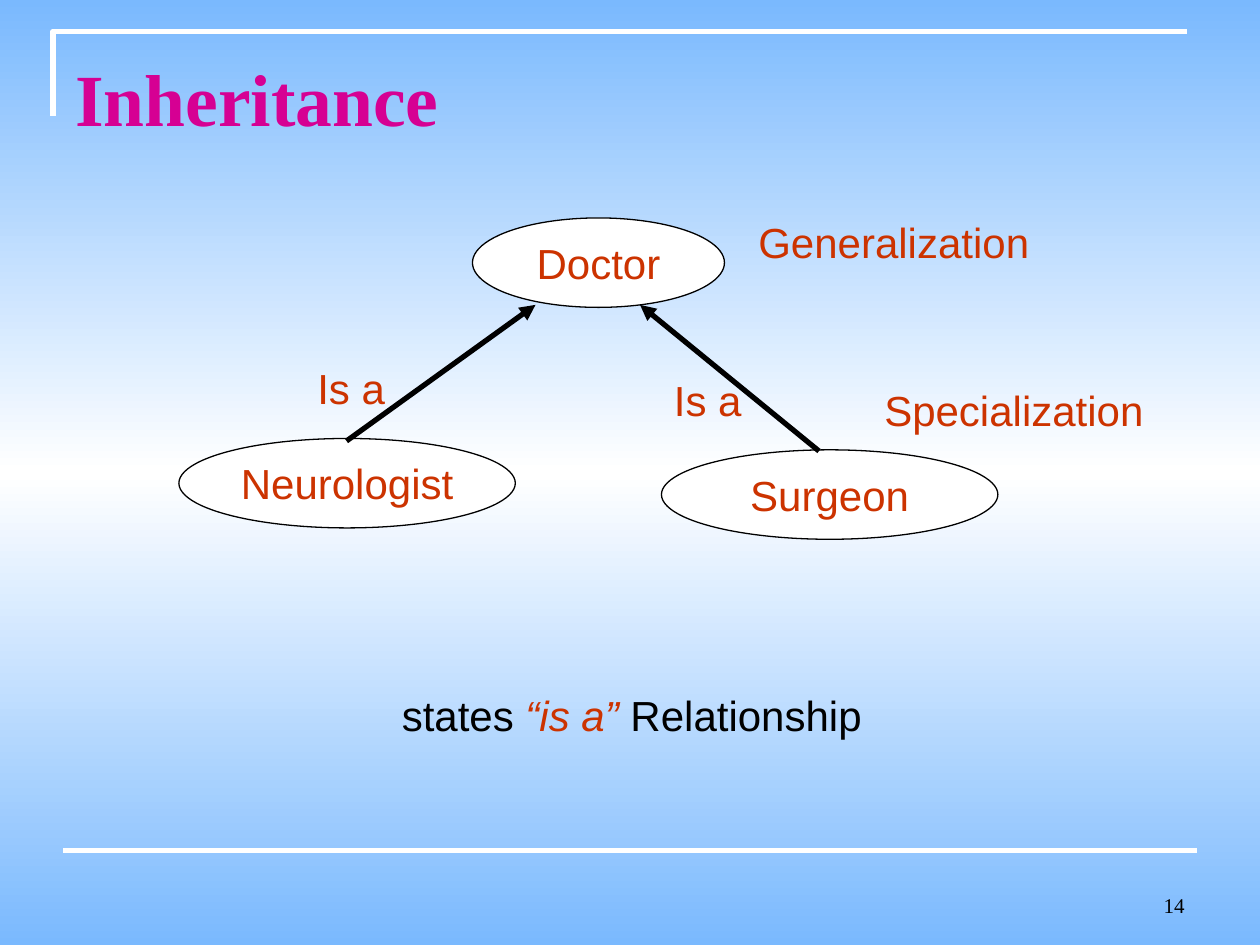
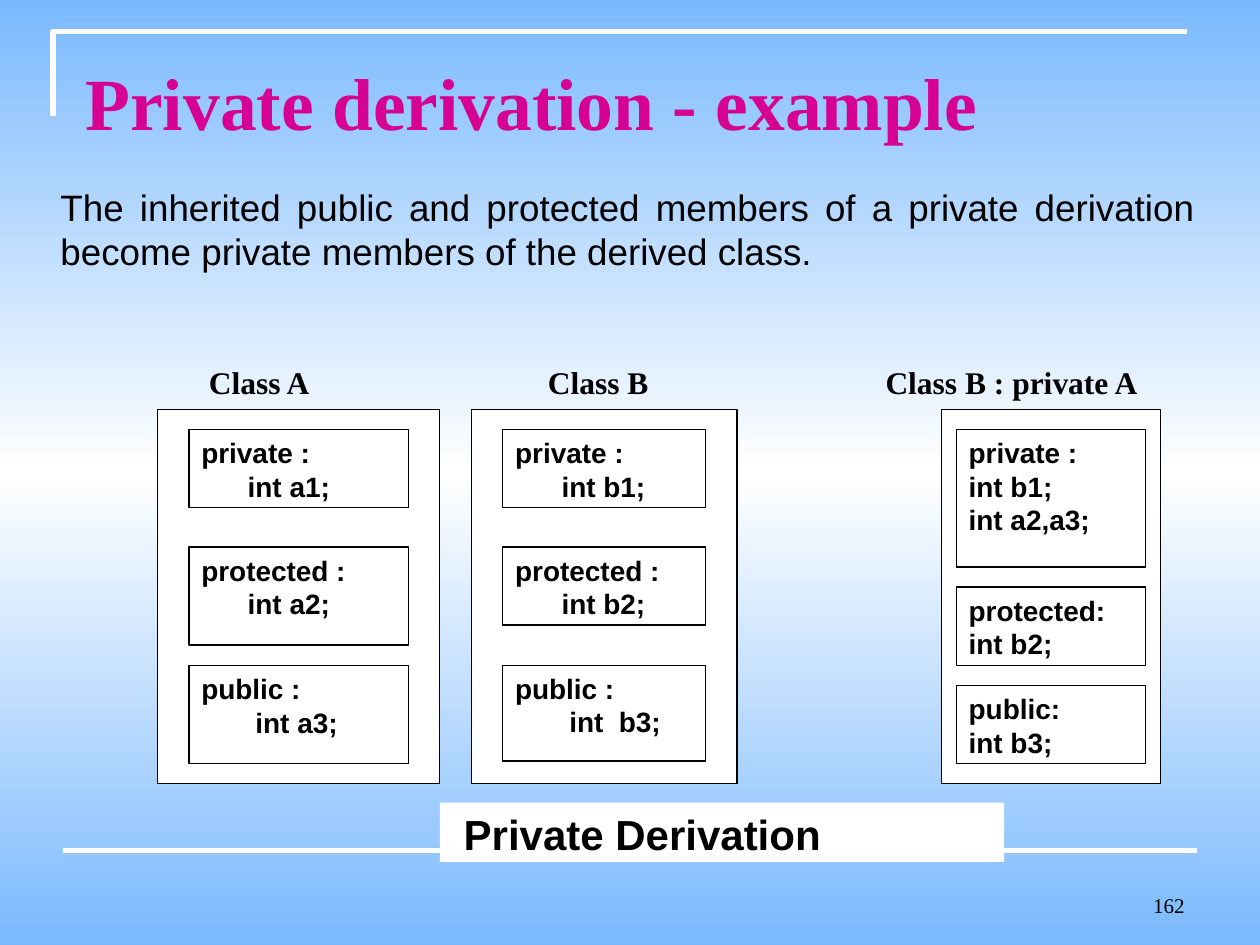
from copy import deepcopy
from dataclasses import dataclass

from pptx import Presentation
from pptx.dml.color import RGBColor
from pptx.enum.shapes import MSO_CONNECTOR, MSO_SHAPE
from pptx.enum.text import MSO_ANCHOR as Anchor, PP_ALIGN as Align
from pptx.oxml.ns import qn
from pptx.util import Inches, Pt
from lxml.etree import SubElement


@dataclass(frozen=True)
class Theme:
    sky: str = "7AB9FE"
    white: str = "FFFFFF"
    black: str = "000000"
    title: str = "D60093"
    accent: str = "CC3300"
    sans: str = "Arial"
    serif: str = "Times New Roman"
    title_size: int = 42
    label_size: int = 24
    body_size: int = 21
    heading_size: int = 18
    code_size: int = 16
    number_size: int = 12
    thin: float = 0.75
    thick: float = 3


THEME = Theme()


def rgb(value):
    return RGBColor.from_string(value)


def set_font(font, size, color, name=THEME.sans, bold=False):
    font.size, font.name, font.bold = Pt(size), name, bold
    font.color.rgb = rgb(color)


def write(shape, lines, size, color=THEME.black, name=THEME.sans, bold=False,
          align=Align.LEFT, anchor=Anchor.TOP, wrap=True):
    """Fill a shape with one paragraph per line and return its text frame."""
    frame = shape.text_frame
    frame.word_wrap, frame.vertical_anchor = wrap, anchor
    for index, line in enumerate(lines):
        para = frame.add_paragraph() if index else frame.paragraphs[0]
        para.text, para.alignment = line, align
        set_font(para.font, size, color, name, bold)
    return frame


def add_text(page, box, text, size, **style):
    shape = page.shapes.add_textbox(*map(Inches, box))
    return write(shape, [text], size, **style)


def add_panel(page, kind, box, outlined=True):
    shape = page.shapes.add_shape(kind, *map(Inches, box))
    shape.shadow.inherit = False
    shape.fill.solid()
    shape.fill.fore_color.rgb = rgb(THEME.white)
    if outlined:
        shape.line.color.rgb = rgb(THEME.black)
        shape.line.width = Pt(THEME.thin)
    else:
        shape.line.fill.background()
    return shape


def add_line(page, start, end, color, arrow=False):
    line = page.shapes.add_connector(
        MSO_CONNECTOR.STRAIGHT, *map(Inches, (*start, *end)))
    line.line.color.rgb = rgb(color)
    line.line.width = Pt(THEME.thick)
    properties = line._element.spPr
    if arrow:
        SubElement(properties.find(qn("a:ln")), qn("a:tailEnd"), type="triangle")
    SubElement(properties, qn("a:effectLst"))


def paint_background(page):
    fill = page.background.fill
    fill.gradient()
    fill.gradient_angle = 90
    stop_list = page.element.find(".//" + qn("a:gsLst"))
    stop_list.insert(1, deepcopy(stop_list[0]))
    colors = (THEME.sky, THEME.white, THEME.sky)
    for stop, position, color in zip(fill.gradient_stops, (0, 0.5, 1), colors):
        stop.position = position
        stop.color.rgb = rgb(color)


def add_corner(page, left, top, width, height):
    builder = page.shapes.build_freeform(
        Inches(left), Inches(top + height), scale=1.0)
    builder.add_line_segments(
        [(Inches(left), Inches(top)), (Inches(left + width), Inches(top))],
        close=False)
    corner = builder.convert_to_shape()
    corner.shadow.inherit = False
    corner.fill.background()
    corner.line.color.rgb = rgb(THEME.white)
    corner.line.width = Pt(THEME.thick)


def add_page(deck, title, title_box, title_anchor, number):
    """Add a slide with the shared background, frame, title and number."""
    page = deck.slides.add_slide(deck.slide_layouts[6])
    paint_background(page)
    add_corner(page, 0.42, 0.25, 9, 0.67)
    add_line(page, (0.5, 6.75), (9.5, 6.75), THEME.white)
    add_text(page, (7.17, 6.83, 2.33, 0.5), number, THEME.number_size,
             name=THEME.serif, align=Align.RIGHT, anchor=Anchor.BOTTOM)
    frame = add_text(page, title_box, title, THEME.title_size, color=THEME.title,
                     name=THEME.serif, bold=True, anchor=title_anchor)
    frame.margin_top = Inches(0.12)
    return page


def add_hierarchy(page, left, top):
    """Draw the doctor tree; every place is relative to left and top."""
    def place(x, y, *size):
        return (left + x, top + y, *size)

    nodes = [("Doctor", 2.33, 0, 2), ("Neurologist", 0, 1.75, 2.67),
             ("Surgeon", 3.83, 1.84, 2.67)]
    for name, x, y, width in nodes:
        node = add_panel(page, MSO_SHAPE.OVAL, place(x, y, width, 0.71))
        write(node, [name], THEME.label_size, THEME.accent,
              align=Align.CENTER, anchor=Anchor.MIDDLE)

    arrows = [((1.33, 1.77), (2.83, 0.69)), ((5.08, 1.85), (3.66, 0.69))]
    for start, end in arrows:
        add_line(page, place(*start), place(*end), THEME.black, arrow=True)

    labels = [("Generalization", 4.5, -0.06, 2.92),
              ("Specialization", 5.5, 1.27, 2.67),
              ("Is a", 1, 1.1, 0.75), ("Is a", 3.83, 1.19, 0.75)]
    for text, x, y, width in labels:
        add_text(page, place(x, y, width, 0.5), text, THEME.label_size,
                 color=THEME.accent)


def add_relationship_note(page, box):
    frame = add_text(page, box, "states ", THEME.label_size, wrap=False)
    para = frame.paragraphs[0]
    quote = para.add_run()
    quote.text = "“is a” "
    quote.font.italic = True
    quote.font.color.rgb = rgb(THEME.accent)
    para.add_run().text = "Relationship"


def add_class(page, left, top, width, padding, sections):
    """Draw a class panel; a section is (offset from top, height, code lines)."""
    add_panel(page, MSO_SHAPE.RECTANGLE, (left, top, width, 2.97))
    for offset, height, code in sections:
        section = add_panel(
            page, MSO_SHAPE.RECTANGLE,
            (left + padding, top + offset, width - 2 * padding, height))
        write(section, code, THEME.code_size, bold=True)


def add_class_headings(page, box, headings):
    """Write the headings on one line, each at its own tab stop."""
    text = "".join("\t" + heading for heading, _ in headings)
    frame = page.shapes.add_textbox(*map(Inches, box)).text_frame
    properties = frame.paragraphs[0]._p.get_or_add_pPr()
    stops = SubElement(properties, qn("a:tabLst"))
    for _, position in headings:
        SubElement(stops, qn("a:tab"), pos=str(Inches(position)), algn="l")
    write(frame._parent, [text], THEME.heading_size, name=THEME.serif,
          bold=True, anchor=Anchor.MIDDLE)


def build_inheritance(deck):
    page = add_page(deck, "Inheritance", (0.5, 0.3, 9, 1.25), Anchor.TOP, "14")
    add_hierarchy(page, 1.42, 1.73)
    add_relationship_note(page, (3.09, 5.42, 3.85, 0.5))


def build_private_derivation(deck):
    page = add_page(deck, "Private derivation - example",
                    (0.58, 0.33, 8.75, 0.87), Anchor.MIDDLE, "162")
    body = add_text(
        page, (0, 1.42, 9.58, 1.21),
        "The inherited public and protected members of a private derivation "
        "become private members of the derived class.",
        THEME.body_size, align=Align.JUSTIFY)
    body.margin_left = Inches(0.48)

    top = 3.25
    add_class(page, 1.25, top, 2.24, 0.25, [
        (0.16, 0.62, ["private :", "      int a1;"]),
        (1.09, 0.78, ["protected :", "      int a2;"]),
        (2.03, 0.78, ["public :", "       int a3;"])])
    add_class(page, 3.74, top, 2.11, 0.25, [
        (0.16, 0.62, ["private :", "      int b1;"]),
        (1.09, 0.62, ["protected :", "      int b2;"]),
        (2.03, 0.76, ["public :", "       int  b3;"])])
    add_class(page, 7.47, top, 1.74, 0.12, [
        (0.16, 1.09, ["private :", "int b1;", "int a2,a3;"]),
        (1.41, 0.62, ["protected:", "int b2;"]),
        (2.19, 0.62, ["public:", "int b3;"])])

    caption = add_panel(page, MSO_SHAPE.RECTANGLE, (3.49, 6.37, 4.48, 0.47),
                        outlined=False)
    frame = write(caption, ["Private Derivation"], THEME.label_size, bold=True)
    frame.margin_left = Inches(0.19)
    add_class_headings(page, (0, 2.83, 9.5, 0.4), [
        ("Class A", 1.56), ("Class B", 4.25), ("Class B : private A", 6.93)])


def main():
    deck = Presentation()
    deck.slide_width, deck.slide_height = Inches(10), Inches(7.5)
    build_inheritance(deck)
    build_private_derivation(deck)
    deck.save("out.pptx")


if __name__ == "__main__":
    main()
